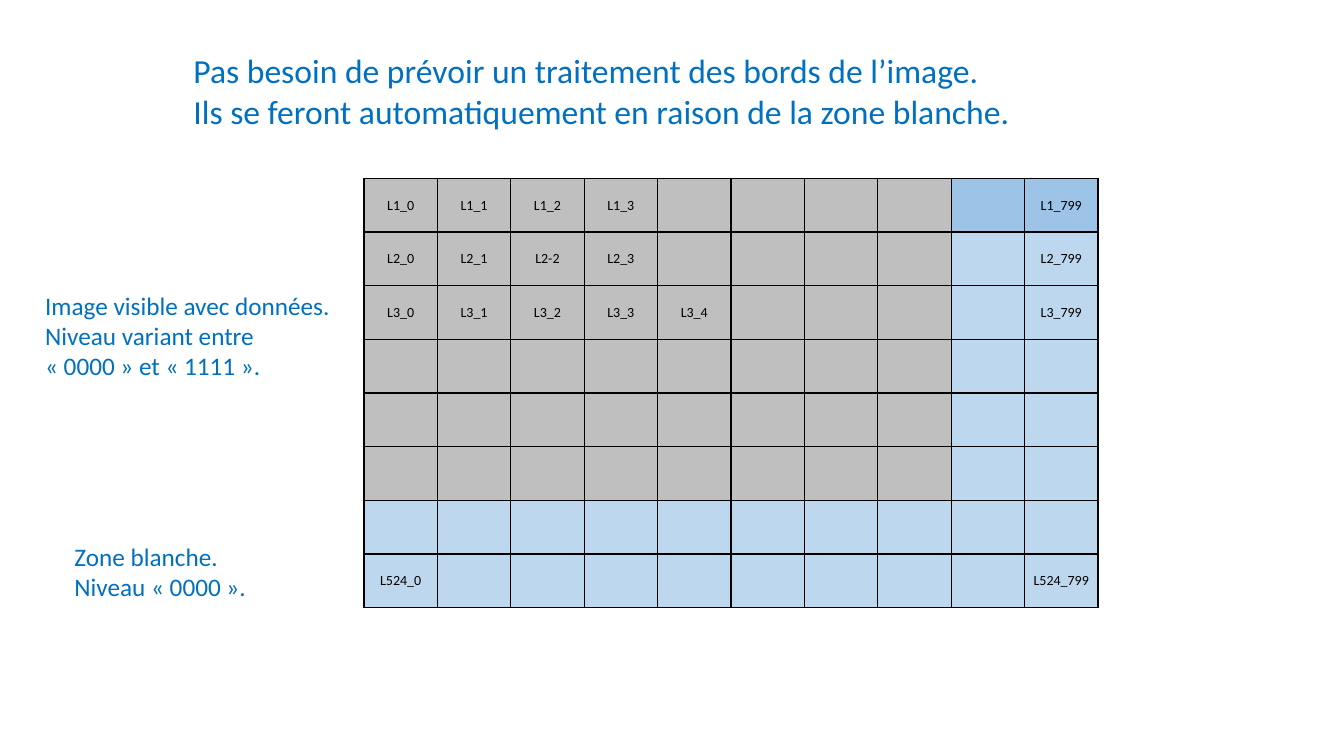
from dataclasses import dataclass

from lxml.etree import SubElement
from pptx import Presentation
from pptx.dml.color import RGBColor
from pptx.enum.text import MSO_ANCHOR, MSO_AUTO_SIZE, PP_ALIGN
from pptx.oxml.ns import qn
from pptx.slide import Slide
from pptx.table import _Cell
from pptx.util import Inches, Pt


@dataclass(frozen=True)
class Theme:
    font: str = "Calibri"
    text: RGBColor = RGBColor(0x00, 0x70, 0xC0)
    label: RGBColor = RGBColor(0x00, 0x00, 0x00)
    border: str = "000000"
    visible: RGBColor = RGBColor(0xBF, 0xBF, 0xBF)
    blank: RGBColor = RGBColor(0xBD, 0xD7, 0xEE)
    blank_first_row: RGBColor = RGBColor(0x9D, 0xC3, 0xE6)
    title_size: Pt = Pt(24)
    note_size: Pt = Pt(18)
    label_size: Pt = Pt(10)
    border_width: Pt = Pt(1)


@dataclass(frozen=True)
class Note:
    left: float
    top: float
    width: float
    height: float
    size: Pt
    lines: tuple[str, ...]


THEME = Theme()

NOTES = (
    Note(1.82, 0.45, 8.37, 0.91, THEME.title_size, (
        "Pas besoin de prévoir un traitement des bords de l’image.",
        "Ils se feront automatiquement en raison de la zone blanche.",
    )),
    Note(0.35, 2.83, 3.06, 1.01, THEME.note_size, (
        "Image visible avec données.",
        "Niveau variant entre",
        "« 0000 » et « 1111 ».",
    )),
    Note(0.64, 5.32, 1.92, 0.71, THEME.note_size, (
        "Zone blanche.",
        "Niveau « 0000 ».",
    )),
)

ROWS, COLUMNS = 8, 10
VISIBLE_ROWS, VISIBLE_COLUMNS = 6, 8
LAST = COLUMNS - 1

# Pixel labels by row, then by column
LABELS: dict[int, dict[int, str]] = {
    0: {0: "L1_0", 1: "L1_1", 2: "L1_2", 3: "L1_3", LAST: "L1_799"},
    1: {0: "L2_0", 1: "L2_1", 2: "L2-2", 3: "L2_3", LAST: "L2_799"},
    2: {0: "L3_0", 1: "L3_1", 2: "L3_2", 3: "L3_3", 4: "L3_4", LAST: "L3_799"},
    7: {0: "L524_0", LAST: "L524_799"},
}


def cell_color(row: int, column: int) -> RGBColor:
    if row < VISIBLE_ROWS and column < VISIBLE_COLUMNS:
        return THEME.visible
    return THEME.blank_first_row if row == 0 else THEME.blank


def add_borders(cell: _Cell) -> None:
    properties = cell._tc.get_or_add_tcPr()
    for position, side in enumerate(("a:lnL", "a:lnR", "a:lnT", "a:lnB")):
        line = SubElement(properties, qn(side), w=str(THEME.border_width))
        fill = SubElement(line, qn("a:solidFill"))
        SubElement(fill, qn("a:srgbClr"), val=THEME.border)
        properties.insert(position, line)  # borders come before the fill


def style_cell(cell: _Cell, label: str, color: RGBColor) -> None:
    cell.fill.solid()
    cell.fill.fore_color.rgb = color
    cell.vertical_anchor = MSO_ANCHOR.MIDDLE
    cell.margin_left = cell.margin_right = Inches(0.08)
    cell.margin_top = cell.margin_bottom = Inches(0.04)
    cell.text = label
    para = cell.text_frame.paragraphs[0]
    para.alignment = PP_ALIGN.CENTER
    para.font.name = THEME.font
    para.font.size = THEME.label_size
    para.font.color.rgb = THEME.label
    add_borders(cell)


def add_pixel_grid(page: Slide) -> None:
    table = page.shapes.add_table(
        ROWS, COLUMNS, Inches(3.61), Inches(1.77), Inches(7.28), Inches(4.26)
    ).table
    table.first_row = table.horz_banding = False
    for row in range(ROWS):
        for column in range(COLUMNS):
            label = LABELS.get(row, {}).get(column, "")
            style_cell(table.cell(row, column), label, cell_color(row, column))


def add_note(page: Slide, note: Note) -> None:
    box = page.shapes.add_textbox(
        Inches(note.left), Inches(note.top), Inches(note.width), Inches(note.height)
    )
    frame = box.text_frame
    frame.word_wrap = False
    frame.auto_size = MSO_AUTO_SIZE.SHAPE_TO_FIT_TEXT
    frame.text = "\n".join(note.lines)
    for para in frame.paragraphs:
        para.font.name = THEME.font
        para.font.size = note.size
        para.font.color.rgb = THEME.text


def main() -> None:
    deck = Presentation()
    deck.slide_width, deck.slide_height = Inches(13.33), Inches(7.5)
    page = deck.slides.add_slide(deck.slide_layouts[6])

    # Image memory: visible pixels and the blank zone around them
    add_pixel_grid(page)

    # Title and side notes
    for note in NOTES:
        add_note(page, note)

    deck.save("out.pptx")


if __name__ == "__main__":
    main()
